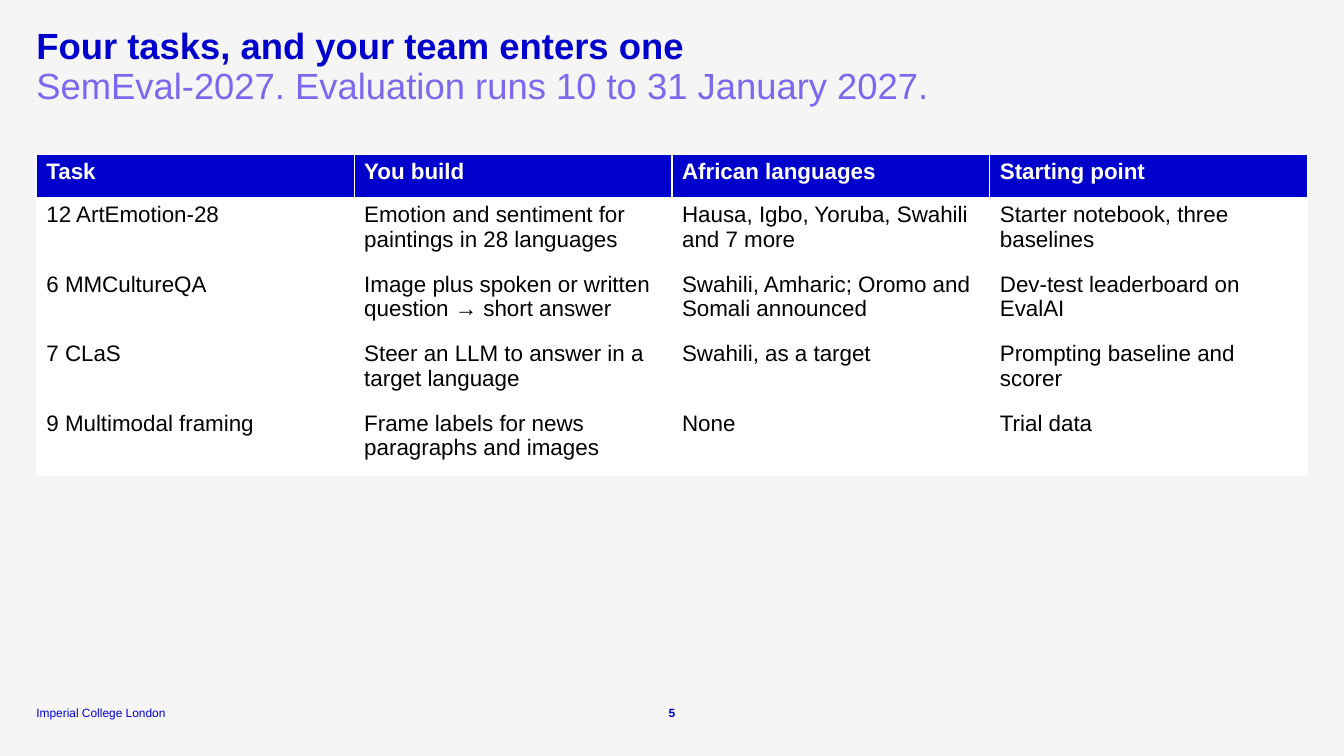
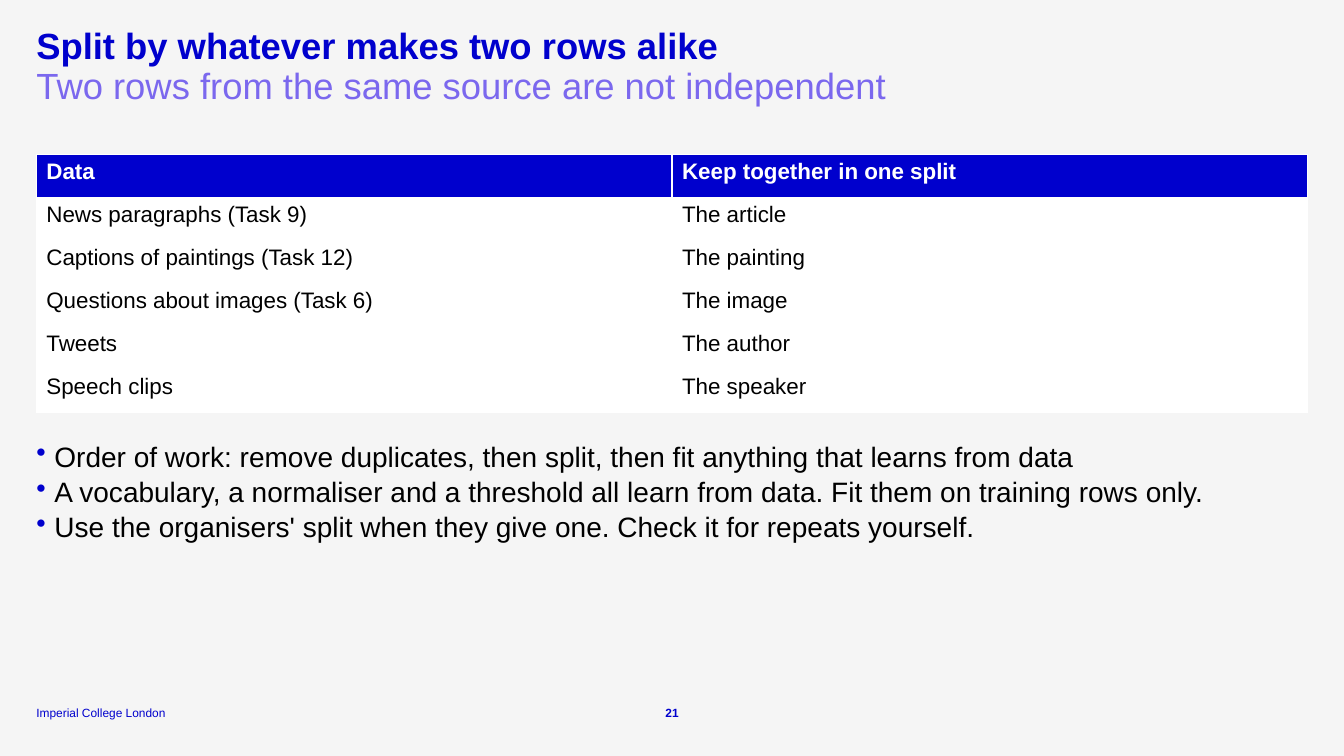
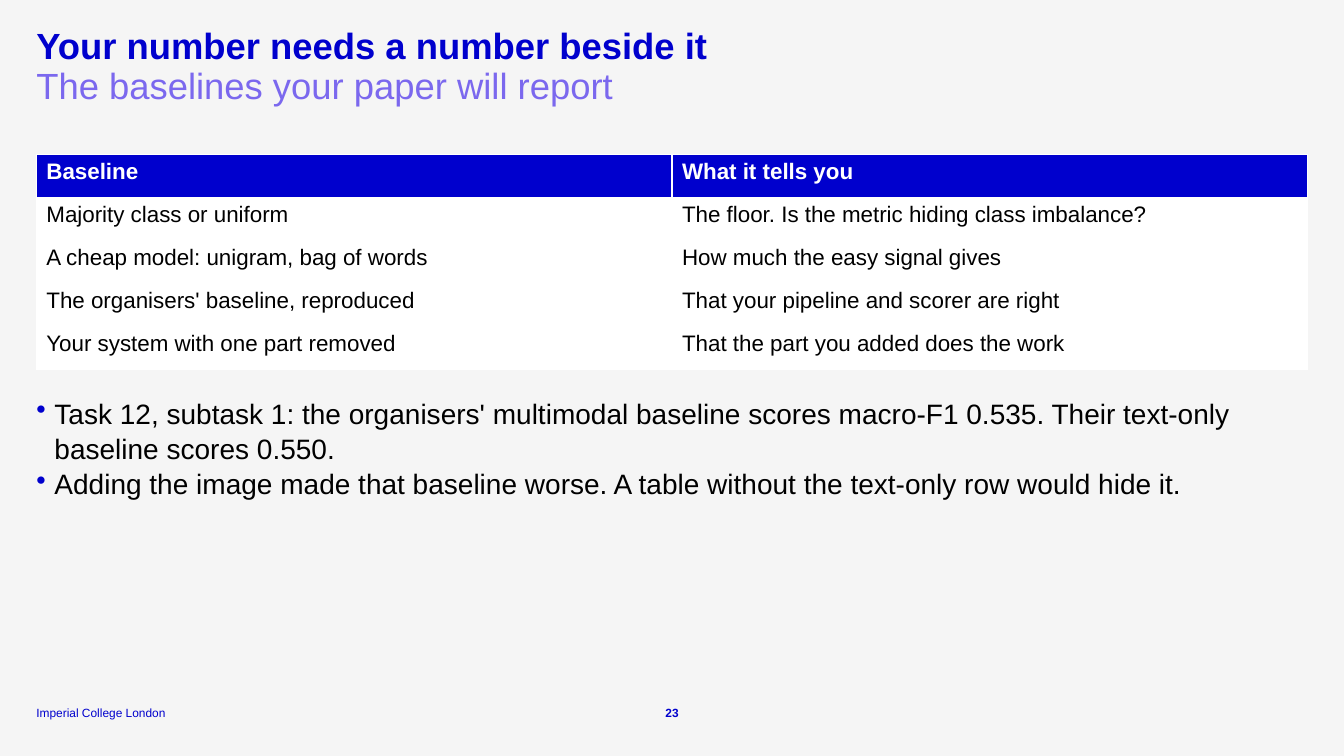
from lxml.etree import SubElement
from pptx import Presentation
from pptx.dml.color import RGBColor as Color
from pptx.enum.text import MSO_ANCHOR as Anchor, PP_ALIGN as Align
from pptx.oxml.ns import qn
from pptx.util import Inches, Pt

WIDTH, HEIGHT = Inches(13.33), Inches(7.5)
COLUMN, ROW = WIDTH / 37, HEIGHT / 50
MARGIN, CONTENT = 1, 35
TABLE_TOP, LINE_ROW, WRAPPED_ROW, TABLE_GAP = 10.2, 2.85, 4.6, 1.65
BULLET_INDENT = Inches(0.18)

COLORS = {
    "background": "F5F5F5",
    "blue": "0000CD",
    "violet": "7B68EE",
    "white": "FFFFFF",
    "black": "000000",
}

FONTS = {
    "title": {"size": Pt(26), "bold": True, "color": "blue"},
    "subtitle": {"size": Pt(26), "bold": False, "color": "violet"},
    "bullet": {"size": Pt(20), "bold": False, "color": "black"},
    "header": {"size": Pt(16), "bold": True, "color": "white"},
    "cell": {"size": Pt(16), "bold": False, "color": "black"},
    "footer": {"size": Pt(8.5), "bold": False, "color": "blue"},
    "number": {"size": Pt(8.5), "bold": True, "color": "blue"},
}

PARAGRAPHS = {
    "title": {"line_spacing": 0.9},
    "subtitle": {"line_spacing": 0.9},
    "bullet": {"line_spacing": 1.05},
    "number": {"alignment": Align.CENTER},
}

FRAME = {
    "word_wrap": True,
    "margin_left": 0,
    "margin_top": 0,
    "margin_right": 0,
    "margin_bottom": 0,
}

TASKS = [
    ["Task", "You build", "African languages", "Starting point"],
    ["12 ArtEmotion-28", "Emotion and sentiment for paintings in 28 languages",
     "Hausa, Igbo, Yoruba, Swahili and 7 more", "Starter notebook, three baselines"],
    ["6 MMCultureQA", "Image plus spoken or written question → short answer",
     "Swahili, Amharic; Oromo and Somali announced", "Dev-test leaderboard on EvalAI"],
    ["7 CLaS", "Steer an LLM to answer in a target language",
     "Swahili, as a target", "Prompting baseline and scorer"],
    ["9 Multimodal framing", "Frame labels for news paragraphs and images",
     "None", "Trial data"],
]

SPLITS = [
    ["Data", "Keep together in one split"],
    ["News paragraphs (Task 9)", "The article"],
    ["Captions of paintings (Task 12)", "The painting"],
    ["Questions about images (Task 6)", "The image"],
    ["Tweets", "The author"],
    ["Speech clips", "The speaker"],
]

SPLIT_ADVICE = [
    "Order of work: remove duplicates, then split, then fit anything that learns from data",
    "A vocabulary, a normaliser and a threshold all learn from data. "
    "Fit them on training rows only.",
    "Use the organisers' split when they give one. Check it for repeats yourself.",
]

BASELINES = [
    ["Baseline", "What it tells you"],
    ["Majority class or uniform", "The floor. Is the metric hiding class imbalance?"],
    ["A cheap model: unigram, bag of words", "How much the easy signal gives"],
    ["The organisers' baseline, reproduced", "That your pipeline and scorer are right"],
    ["Your system with one part removed", "That the part you added does the work"],
]

BASELINE_SCORES = [
    "Task 12, subtask 1: the organisers' multimodal baseline scores macro-F1 0.535. "
    "Their text-only baseline scores 0.550.",
    "Adding the image made that baseline worse. "
    "A table without the text-only row would hide it.",
]


def color(name):
    return Color.from_string(COLORS[name])


def apply(target, values):
    for name, value in values.items():
        setattr(target, name, value)


def box(column, row, columns, rows):
    return [round(length) for length in
            (column * COLUMN, row * ROW, columns * COLUMN, rows * ROW)]


def write(paragraph, text, style):
    apply(paragraph, PARAGRAPHS.get(style, {}))
    run = paragraph.add_run()
    run.text = text
    values = {"name": "Arial", **FONTS[style]}
    run.font.color.rgb = color(values.pop("color"))
    apply(run.font, values)


def add_bullet_mark(paragraph):
    properties = paragraph._p.get_or_add_pPr()
    properties.set("marL", str(BULLET_INDENT))
    properties.set("indent", str(-BULLET_INDENT))
    mark_color = SubElement(properties, qn("a:buClr"))
    SubElement(mark_color, qn("a:srgbClr"), val=COLORS["blue"])
    SubElement(properties, qn("a:buChar"), char="•")


def add_text(slide, place, lines, style, anchor=Anchor.TOP):
    frame = slide.shapes.add_textbox(*box(*place)).text_frame
    apply(frame, {**FRAME, "vertical_anchor": anchor})
    for index, line in enumerate(lines):
        paragraph = frame.add_paragraph() if index else frame.paragraphs[0]
        if style == "bullet":
            add_bullet_mark(paragraph)
        write(paragraph, line, style)


def add_grid(slide, content, body_row):
    heights = [LINE_ROW] + [body_row] * (len(content) - 1)
    place = box(MARGIN, TABLE_TOP, CONTENT, sum(heights))
    table = slide.shapes.add_table(len(content), len(content[0]), *place).table
    table.horz_banding = False
    for row, height, texts in zip(table.rows, heights, content):
        row.height = round(height * ROW)
        header = texts is content[0]
        for cell, text in zip(row.cells, texts):
            cell.fill.solid()
            cell.fill.fore_color.rgb = color("blue" if header else "white")
            write(cell.text_frame.paragraphs[0], text, "header" if header else "cell")
    return TABLE_TOP + sum(heights)


def add_page(presentation, number, title, subtitle):
    slide = presentation.slides.add_slide(presentation.slide_layouts[6])
    slide.background.fill.solid()
    slide.background.fill.fore_color.rgb = color("background")
    add_text(slide, (MARGIN, 1.87, CONTENT, 2.73), [title], "title")
    add_text(slide, (MARGIN, 4.53, CONTENT, 2.73), [subtitle], "subtitle")
    add_text(slide, (MARGIN, 46.6, 4.3, 1), ["Imperial College London"], "footer", Anchor.BOTTOM)
    add_text(slide, (18, 46.6, 1, 1), [str(number)], "number", Anchor.BOTTOM)
    return slide


def add_bullets(slide, table_bottom, rows, lines):
    add_text(slide, (MARGIN, table_bottom + TABLE_GAP, CONTENT, rows), lines, "bullet")


def main():
    presentation = Presentation()
    apply(presentation, {"slide_width": WIDTH, "slide_height": HEIGHT})

    tasks = add_page(presentation, 5, "Four tasks, and your team enters one",
                     "SemEval-2027. Evaluation runs 10 to 31 January 2027.")
    add_grid(tasks, TASKS, WRAPPED_ROW)

    splits = add_page(presentation, 21, "Split by whatever makes two rows alike",
                      "Two rows from the same source are not independent")
    add_bullets(splits, add_grid(splits, SPLITS, LINE_ROW), 9.9, SPLIT_ADVICE)

    baselines = add_page(presentation, 23, "Your number needs a number beside it",
                         "The baselines your paper will report")
    add_bullets(baselines, add_grid(baselines, BASELINES, LINE_ROW), 9, BASELINE_SCORES)

    presentation.save("out.pptx")


if __name__ == "__main__":
    main()
